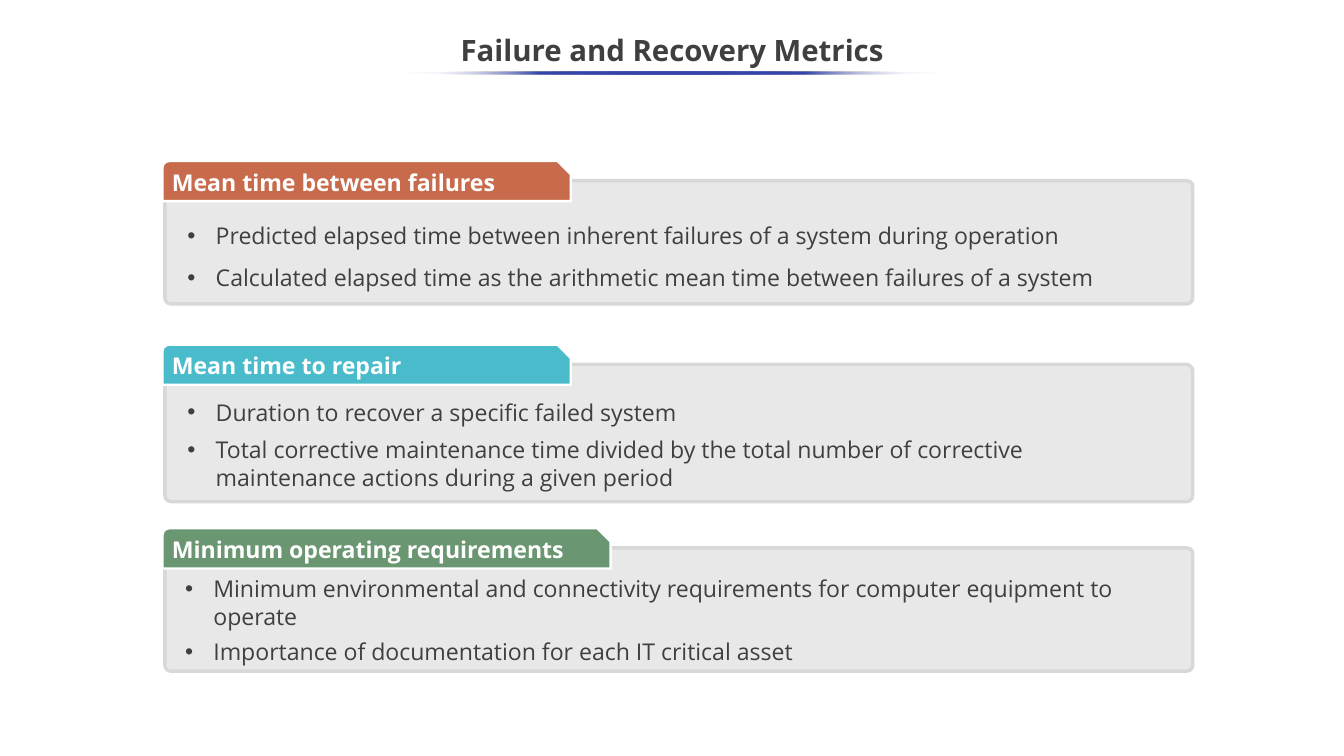
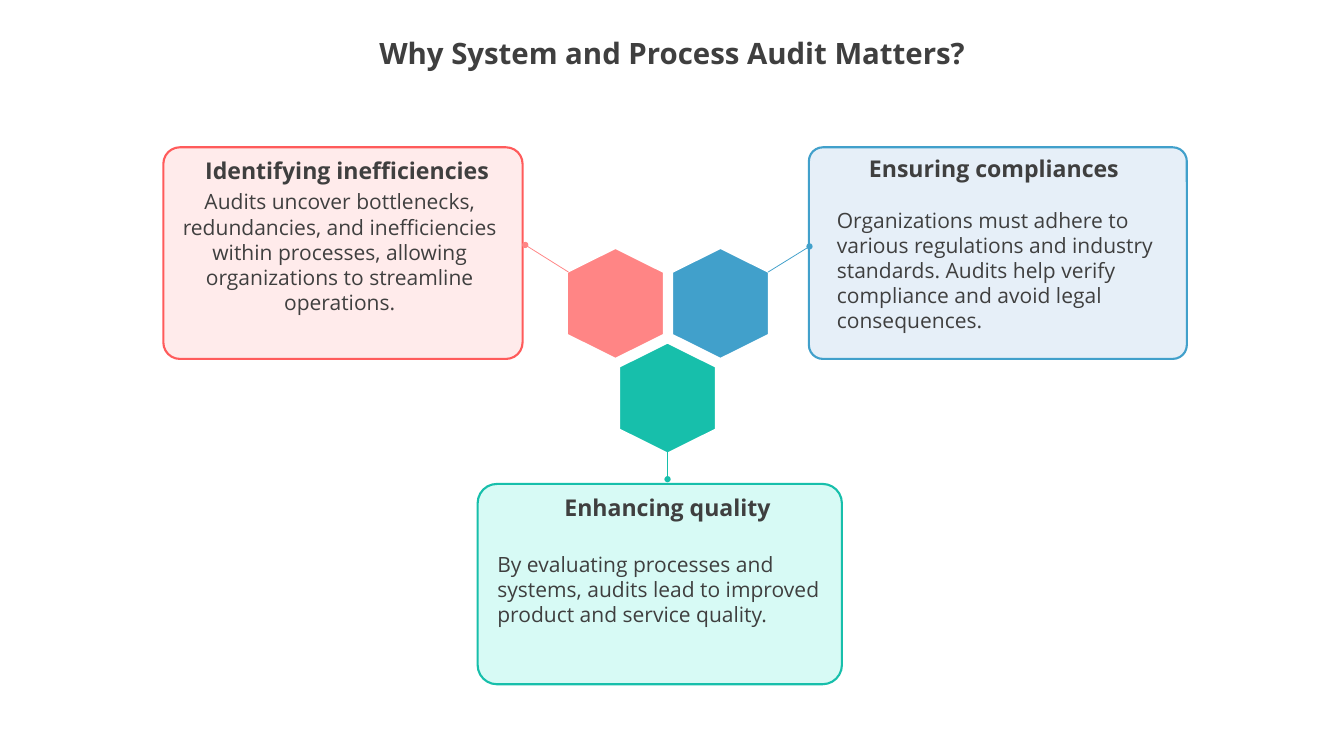
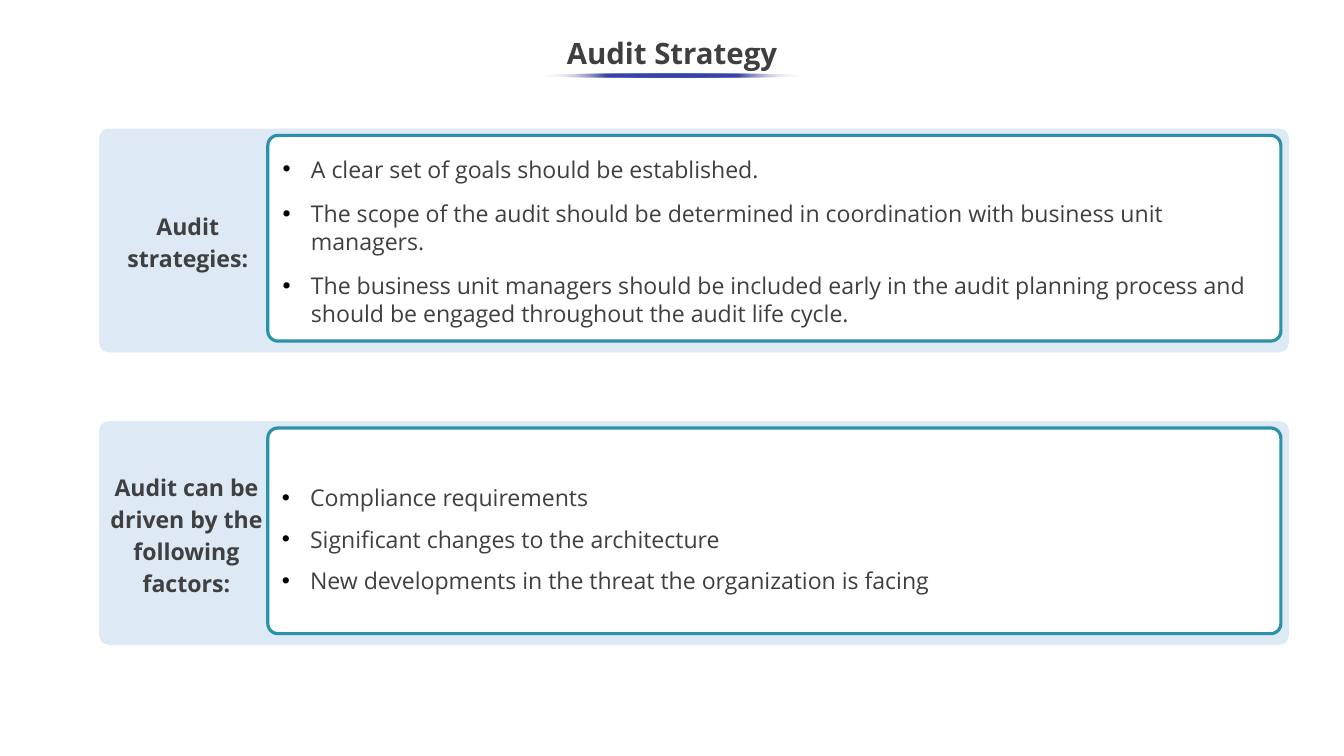
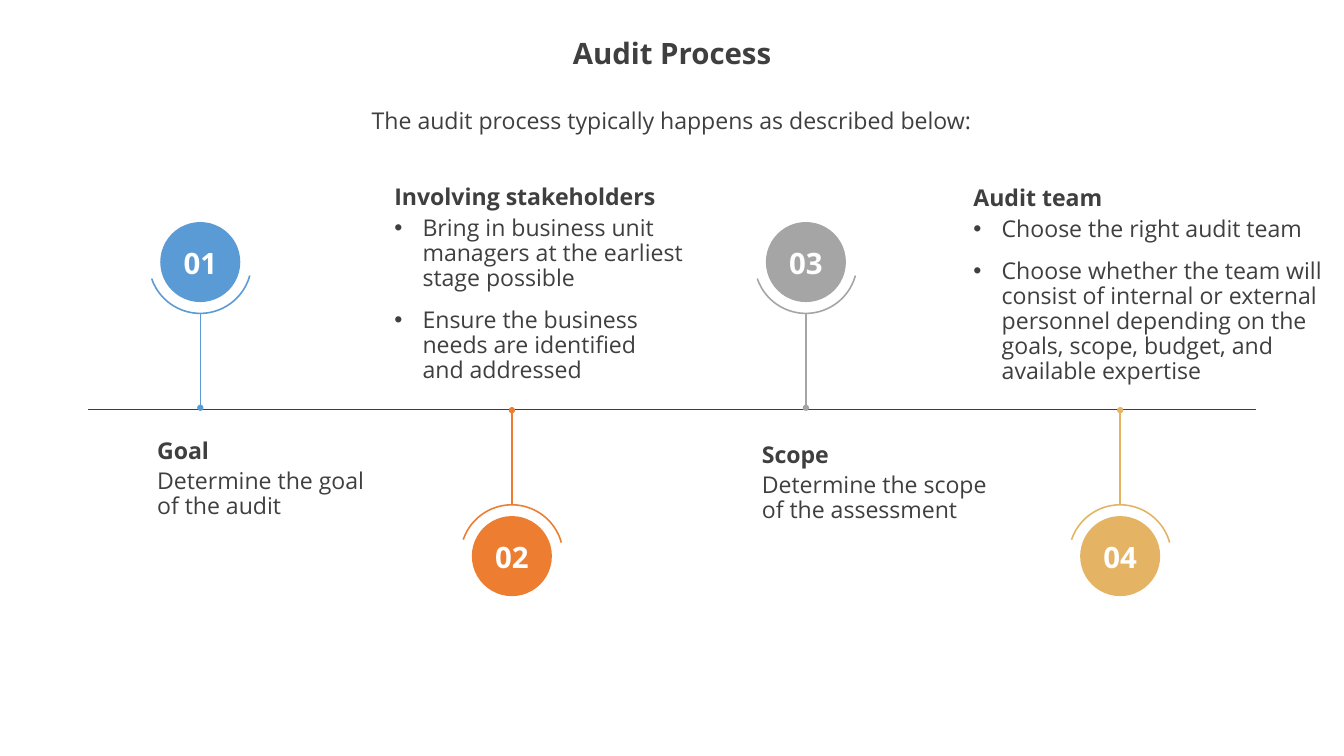
from dataclasses import dataclass
from typing import Optional, Sequence

from lxml import etree
from pptx import Presentation
from pptx import util as u
from pptx.dml.color import RGBColor
from pptx.enum import shapes, text
from pptx.oxml import parse_xml
from pptx.oxml.ns import nsdecls, qn

# Shared look
FONT = "Open Sans"
INK, LABEL_INK, WHITE, BLACK = "3F3F3F", "404040", "FFFFFF", "000000"
RULE_BLUE = "3645A9"
SLIDE_WIDTH, SLIDE_HEIGHT = 45.16, 25.4
KIND = shapes.MSO_SHAPE
LEFT, CENTER = text.PP_ALIGN.LEFT, text.PP_ALIGN.CENTER
TOP, MIDDLE = text.MSO_ANCHOR.TOP, text.MSO_ANCHOR.MIDDLE


@dataclass(frozen=True)
class Box:
    """A place on the slide, in centimetres."""
    x: float
    y: float
    w: float
    h: float

    def lengths(self) -> list:
        return [u.Cm(n) for n in (self.x, self.y, self.w, self.h)]


@dataclass(frozen=True)
class Para:
    words: str
    bold: bool = False
    bullet: Optional[str] = None
    spacing: float = 1.0
    before: float = 0


@dataclass(frozen=True)
class Metric:
    name: str
    color: str
    tab_width: float
    height: float
    body: Box
    paras: Sequence[Para]


@dataclass(frozen=True)
class Reason:
    name: str
    frame: Box
    corner: float
    fill: str
    alpha: int
    edge: str
    heading: Box
    heading_sides: tuple
    body: Box
    words: str
    align: text.PP_ALIGN = LEFT


@dataclass(frozen=True)
class Hexagon:
    center_x: float
    top: float
    color: str
    line_start: tuple
    line_end: tuple


@dataclass(frozen=True)
class Strategy:
    label: str
    top: float
    label_box: Box
    body: Box
    paras: Sequence[Para]


@dataclass(frozen=True)
class Step:
    number: str
    center_x: float
    color: str
    hangs: bool
    body: Box
    paras: Sequence[Para]


# Drawing helpers
def rgb(color: str) -> RGBColor:
    return RGBColor.from_string(color)


def paint(shape, fill: Optional[str], edge: Optional[str] = None,
          edge_width: float = 0, alpha: int = 100) -> None:
    shape.shadow.inherit = False
    if fill:
        shape.fill.solid()
        shape.fill.fore_color.rgb = rgb(fill)
        if alpha < 100:
            solid = shape._element.spPr.find(qn("a:solidFill"))
            etree.SubElement(solid[0], qn("a:alpha"), val=str(alpha * 1000))
    else:
        shape.fill.background()
    if edge:
        shape.line.color.rgb = rgb(edge)
        shape.line.width = u.Pt(edge_width)
    else:
        shape.line.fill.background()


def add_shape(page, kind, box: Box, fill: Optional[str], edge: Optional[str] = None,
              edge_width: float = 0, adjust: Sequence[float] = (), alpha: int = 100):
    shape = page.shapes.add_shape(kind, *box.lengths())
    for index, value in enumerate(adjust):
        shape.adjustments[index] = value
    paint(shape, fill, edge, edge_width, alpha)
    return shape


def add_bullet(paragraph, color: str) -> None:
    props = paragraph._p.get_or_add_pPr()
    indent = u.Cm(0.95)
    props.set("marL", str(indent))
    props.set("indent", str(-indent))
    tint = etree.SubElement(props, qn("a:buClr"))
    etree.SubElement(tint, qn("a:srgbClr"), val=color)
    etree.SubElement(props, qn("a:buFont"), typeface="Arial")
    etree.SubElement(props, qn("a:buChar"), char="•")


def write(shape, paras: Sequence[Para], size: float = 22, color: str = INK,
          align=LEFT, anchor=TOP, sides: tuple = (0.25, 0.25)) -> None:
    frame = shape.text_frame
    frame.word_wrap = True
    frame.vertical_anchor = anchor
    frame.margin_left, frame.margin_right = (u.Cm(side) for side in sides)
    frame.margin_top = frame.margin_bottom = u.Cm(0.13)
    for index, para in enumerate(paras):
        paragraph = frame.add_paragraph() if index else frame.paragraphs[0]
        paragraph.text = para.words
        paragraph.alignment = align
        paragraph.line_spacing = para.spacing
        if para.before:
            paragraph.space_before = u.Pt(para.before)
        if para.bullet:
            add_bullet(paragraph, para.bullet)
        for span in paragraph.runs:
            span.font.name = FONT
            span.font.size = u.Pt(size)
            span.font.bold = para.bold
            span.font.color.rgb = rgb(color)


def add_text(page, box: Box, paras: Sequence[Para], **style) -> None:
    write(page.shapes.add_textbox(*box.lengths()), paras, **style)


def add_line(page, start: tuple, end: tuple, color: str, width: float,
             dot: bool = False) -> None:
    line = page.shapes.add_connector(
        shapes.MSO_CONNECTOR.STRAIGHT, *(u.Cm(n) for n in (*start, *end)))
    line.line.color.rgb = rgb(color)
    line.line.width = u.Pt(width)
    props = line._element.spPr
    if dot:
        etree.SubElement(props.find(qn("a:ln")), qn("a:tailEnd"), type="oval")
    etree.SubElement(props, qn("a:effectLst"))


def add_title_rule(page, top: float, width: float) -> None:
    """A thin ellipse that fades out at both ends."""
    rule = add_shape(page, KIND.OVAL, Box((SLIDE_WIDTH - width) / 2, top, width, 0.1), None)
    clear = f'<a:srgbClr val="{WHITE}"><a:alpha val="0"/></a:srgbClr>'
    solid = f'<a:srgbClr val="{RULE_BLUE}"/>'
    stops = "".join(
        f'<a:gs pos="{place * 1000}">{clear if place in (0, 100) else solid}</a:gs>'
        for place in range(0, 101, 25))
    gradient = parse_xml(
        f'<a:gradFill {nsdecls("a")}><a:gsLst>{stops}</a:gsLst>'
        '<a:lin ang="10800000" scaled="0"/></a:gradFill>')
    props = rule._element.spPr
    props.replace(props.find(qn("a:noFill")), gradient)


def add_page(deck, title: str, top: float = 0.89, rule_width: float = 0):
    page = deck.slides.add_slide(deck.slide_layouts[6])
    add_text(page, Box(0, top, SLIDE_WIDTH, 1.9), [Para(title, bold=True, spacing=0.9)],
             size=28, align=CENTER, anchor=MIDDLE)
    if rule_width:
        add_title_rule(page, top + 1.6, rule_width)
    return page


def bullets(*lines: str, color: str = INK, spacing: float = 1.0,
            gap: float = 0) -> list[Para]:
    return [Para(line, bullet=color, spacing=spacing, before=gap if index else 0)
            for index, line in enumerate(lines)]


# Slide 1: metrics
METRICS = [
    Metric("Mean time between failures", "C86A4C", 13.72, 4.14,
           Box(6.05, 6.86, 33.02, 3.07), bullets(
               "Predicted elapsed time between inherent failures of a system during operation",
               "Calculated elapsed time as the arithmetic mean time between failures of a system",
               spacing=1.5)),
    Metric("Mean time to repair", "49BBCB", 13.72, 4.62,
           Box(6.05, 12.78, 33.02, 3.86), [
               Para("Duration to recover a specific failed system", bullet=INK, spacing=1.5),
               Para("Total corrective maintenance time divided by the total number of "
                    "corrective maintenance actions during a given period",
                    bullet=INK, before=9)]),
    Metric("Minimum operating requirements", "6A9672", 15.06, 4.14,
           Box(5.97, 19.18, 34.54, 3.33), bullets(
               "Minimum environmental and connectivity requirements for computer "
               "equipment to operate",
               "Importance of documentation for each IT critical asset", gap=7)),
]


def build_metrics(deck) -> None:
    page = add_page(deck, "Failure and Recovery Metrics", top=0.79, rule_width=17.81)
    for index, metric in enumerate(METRICS):
        top = 6.07 + 6.17 * index
        add_shape(page, KIND.ROUNDED_RECTANGLE, Box(5.54, top, 34.54, metric.height),
                  "E8E8E8", "D8D8D8", 3.25, [0.048])
        tab = add_shape(page, KIND.SNIP_ROUND_RECTANGLE,
                        Box(5.46, top - 0.66, metric.tab_width, 1.35),
                        metric.color, WHITE, 2.25, [0.167, 0.33])
        write(tab, [Para(metric.name, bold=True)], color=WHITE, anchor=MIDDLE)
        add_text(page, metric.body, metric.paras)


# Slide 2: reasons around three hexagons
CORAL, BLUE, TEAL = "FF8585", "41A0CB", "17BFAB"
REASONS = [
    Reason("Identifying inefficiencies", Box(5.49, 4.95, 12.07, 7.11), 0.078,
           "FFAFAF", 24, "FF5B5B", Box(5.92, 5.23, 11.23, 1.09), (0.25, 0),
           Box(5.99, 6.22, 10.85, 5.89),
           "Audits uncover bottlenecks, redundancies, and inefficiencies within "
           "processes, allowing organizations to streamline operations.", CENTER),
    Reason("Ensuring compliances", Box(27.18, 4.95, 12.7, 7.11), 0.066,
           "DDEAF6", 73, BLUE, Box(28.3, 5.16, 10.44, 1.09), (0, 0.25),
           Box(28.12, 6.83, 11.1, 5.46),
           "Organizations must adhere to various regulations and industry standards. "
           "Audits help verify compliance and avoid legal consequences."),
    Reason("Enhancing quality", Box(16.05, 16.26, 12.24, 6.73), 0.096,
           "ADF5EC", 48, TEAL, Box(17.68, 16.54, 9.75, 1.09), (0, 0.25),
           Box(16.71, 18.39, 11.58, 3.76),
           "By evaluating processes and systems, audits lead to improved product "
           "and service quality."),
]
HEXAGONS = [
    Hexagon(20.68, 8.33, CORAL, (19.1, 9.14), (17.65, 8.23)),
    Hexagon(24.21, 8.33, BLUE, (25.81, 9.14), (27.2, 8.28)),
    Hexagon(22.43, 11.51, TEAL, (22.43, 14.58), (22.43, 16.1)),
]


def add_hexagon(page, center_x: float, top: float, color: str) -> None:
    half, height, shoulder = 1.63, 3.73, 0.81
    corners = [(0, 0), (half, shoulder), (half, height - shoulder),
               (0, height), (-half, height - shoulder), (-half, shoulder)]
    points = [(u.Cm(center_x + dx), u.Cm(top + dy)) for dx, dy in corners]
    builder = page.shapes.build_freeform(*points[0], scale=1.0)
    builder.add_line_segments(points[1:], close=True)
    paint(builder.convert_to_shape(), color, WHITE, 2)


def build_reasons(deck) -> None:
    page = add_page(deck, "Why System and Process Audit Matters?")
    for reason in REASONS:
        add_shape(page, KIND.ROUNDED_RECTANGLE, reason.frame, reason.fill,
                  reason.edge, 2, [reason.corner], reason.alpha)
        add_text(page, reason.heading, [Para(reason.name, bold=True, spacing=0.9)],
                 align=CENTER, sides=reason.heading_sides)
        add_text(page, reason.body, [Para(reason.words)], size=20,
                 align=reason.align, sides=(0, 0))
    for hexagon in HEXAGONS:
        add_hexagon(page, hexagon.center_x, hexagon.top, hexagon.color)
        add_line(page, hexagon.line_start, hexagon.line_end, hexagon.color, 0.75, dot=True)


# Slide 3: strategy bands
STRATEGIES = [
    Strategy("Audit strategies:", 4.32, Box(3.35, 6.88, 5.92, 2.24),
             Box(9.25, 5.08, 33.78, 5.54), bullets(
                 "A clear set of goals should be established.",
                 "The scope of the audit should be determined in coordination with "
                 "business unit managers.",
                 "The business unit managers should be included early in the audit planning "
                 "process and should be engaged throughout the audit life cycle.",
                 color=BLACK, gap=16)),
    Strategy("Audit can be driven by the following factors:", 14.15,
             Box(3.33, 15.65, 5.87, 3.56), Box(9.22, 15.65, 33.81, 4.09), bullets(
                 "Compliance requirements",
                 "Significant changes to the architecture",
                 "New developments in the threat the organization is facing",
                 color=BLACK, spacing=1.5)),
]


def build_strategy(deck) -> None:
    page = add_page(deck, "Audit Strategy", rule_width=8.86)
    for strategy in STRATEGIES:
        add_shape(page, KIND.ROUNDED_RECTANGLE, Box(3.33, strategy.top, 39.98, 7.52),
                  "DDEAF6", adjust=[0.044])
        add_text(page, strategy.label_box, [Para(strategy.label, bold=True, spacing=1.15)],
                 color=LABEL_INK, align=CENTER)
        add_shape(page, KIND.ROUNDED_RECTANGLE, Box(9, strategy.top + 0.23, 34.04, 6.91),
                  WHITE, "2992A7", 3, [0.049])
        add_text(page, strategy.body, strategy.paras)


# Slide 4: timeline
def step_text(name: str, *lines: str, bullet: Optional[str] = None) -> list[Para]:
    return [Para(name, bold=True, spacing=0.9)] + [
        Para(line, bullet=bullet, spacing=0.9, before=17 if index else 5)
        for index, line in enumerate(lines)]


STEPS = [
    Step("01", 6.73, "5B9BD5", False, Box(5.03, 14.63, 8.08, 2.97),
         step_text("Goal", "Determine the goal of the audit")),
    Step("02", 17.2, "ED7D31", True, Box(13, 6.12, 10.52, 6.96),
         step_text("Involving stakeholders",
                   "Bring in business unit managers at the earliest stage possible",
                   "Ensure the business needs are identified\nand addressed", bullet=INK)),
    Step("03", 27.08, "A5A5A5", False, Box(25.35, 14.78, 8.86, 2.97),
         step_text("Scope", "Determine the scope of the assessment")),
    Step("04", 37.64, "E4B363", True, Box(32.46, 6.15, 12.73, 6.96),
         step_text("Audit team", "Choose the right audit team",
                   "Choose whether the team will consist of internal or external personnel "
                   "depending on the goals, scope, budget, and available expertise",
                   bullet=INK)),
]


def add_step(page, step: Step) -> None:
    arc_size, disc_size = 3.45, 2.69
    arc_top = 16.96 if step.hangs else 7.08
    stem_start, stem_end = (16.92, 13.78) if step.hangs else (10.55, 13.7)
    add_line(page, (step.center_x, stem_start), (step.center_x, stem_end),
             step.color, 1.5, dot=True)
    arc = add_shape(page, KIND.ARC,
                    Box(step.center_x - arc_size / 2, arc_top, arc_size, arc_size),
                    None, step.color, 1.5, [9.186, 96.726])
    if step.hangs:
        arc.rotation = 180
        arc._element.spPr.find(qn("a:xfrm")).set("flipH", "1")
    disc = Box(step.center_x - disc_size / 2, arc_top + 0.38, disc_size, disc_size)
    add_shape(page, KIND.OVAL, disc, step.color)
    add_text(page, Box(disc.x, disc.y + 0.66, disc_size, 1.45),
             [Para(step.number, bold=True)], size=28, color=WHITE, align=CENTER)
    add_text(page, step.body, step.paras)


def build_process(deck) -> None:
    page = add_page(deck, "Audit Process")
    add_text(page, Box(10.26, 3.43, 24.61, 1.19),
             [Para("The audit process typically happens as described below:")], align=CENTER)
    add_line(page, (2.95, 13.74), (42.21, 13.74), "323F4F", 0.75)
    for step in STEPS:
        add_step(page, step)


def main() -> None:
    deck = Presentation()
    deck.slide_width, deck.slide_height = u.Cm(SLIDE_WIDTH), u.Cm(SLIDE_HEIGHT)
    for build in (build_metrics, build_reasons, build_strategy, build_process):
        build(deck)
    deck.save("out.pptx")


if __name__ == "__main__":
    main()
